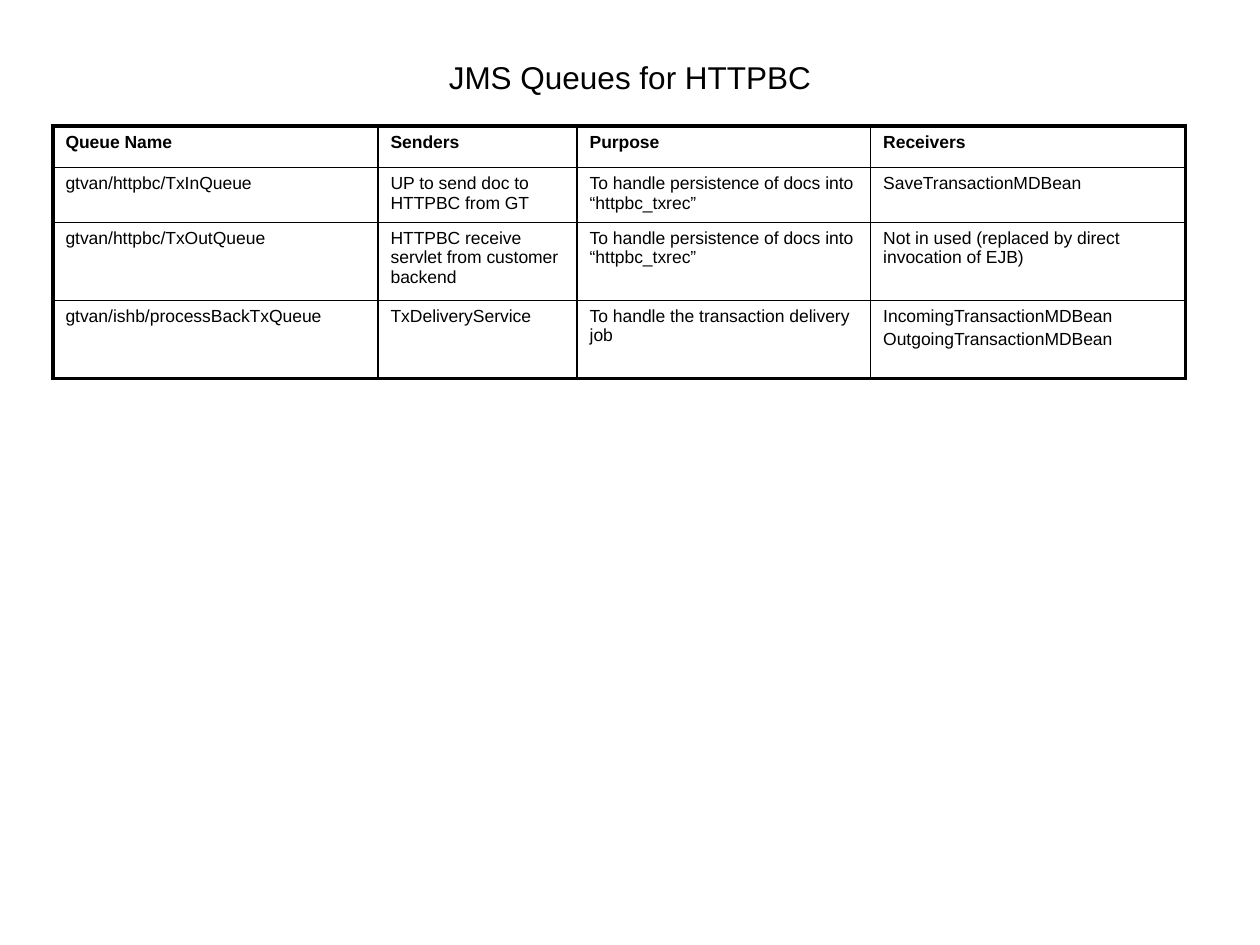
from pptx import Presentation
from pptx.dml.color import RGBColor
from pptx.enum.text import MSO_ANCHOR, PP_ALIGN
from pptx.util import Inches, Pt
from lxml import etree

BLACK = RGBColor(0, 0, 0)
NS = "http://schemas.openxmlformats.org/drawingml/2006/main"
COLS = [2.58, 1.58, 2.33, 2.5]
ROWS = [0.33, 0.37, 0.62, 0.62]
QUEUES = [
    ["Queue Name", "Senders", "Purpose", "Receivers"],
    ["gtvan/httpbc/TxInQueue", "UP to send doc to HTTPBC from GT",
     "To handle persistence of docs into “httpbc_txrec”",
     "SaveTransactionMDBean"],
    ["gtvan/httpbc/TxOutQueue",
     "HTTPBC receive servlet from customer backend",
     "To handle persistence of docs into “httpbc_txrec”",
     "Not in used (replaced by direct invocation of EJB)"],
    ["gtvan/ishb/processBackTxQueue", "TxDeliveryService",
     "To handle the transaction delivery job",
     "IncomingTransactionMDBean\nOutgoingTransactionMDBean"],
]


def style(para, size, bold=False):
    for run in para.runs:
        run.font.name = "Arial"
        run.font.size = Pt(size)
        run.font.bold = bold
        run.font.color.rgb = BLACK


def border(cell, side, width):
    props = cell._tc.get_or_add_tcPr()
    line = etree.SubElement(props, f"{{{NS}}}ln{side}", w=str(Pt(width)))
    fill = etree.SubElement(line, f"{{{NS}}}solidFill")
    etree.SubElement(fill, f"{{{NS}}}srgbClr", val=str(BLACK))


prs = Presentation()
prs.slide_width, prs.slide_height = Inches(10), Inches(7.5)
slide = prs.slides.add_slide(prs.slide_layouts[6])

# Title
title = slide.shapes.add_textbox(Inches(0.5), Inches(0.3), Inches(9), Inches(0.62))
frame = title.text_frame
frame.word_wrap = True
frame.vertical_anchor = MSO_ANCHOR.MIDDLE
frame.text = "JMS Queues for HTTPBC"
frame.paragraphs[0].alignment = PP_ALIGN.CENTER
style(frame.paragraphs[0], 18)

# Queue table
table = slide.shapes.add_table(len(ROWS), len(COLS), Inches(0.42), Inches(1),
                               Inches(sum(COLS)), Inches(sum(ROWS))).table
table.horz_banding = False
for col, width in zip(table.columns, COLS):
    col.width = Inches(width)
for row, height in zip(table.rows, ROWS):
    row.height = Inches(height)

# Cells, with a heavy outer frame
for r, texts in enumerate(QUEUES):
    for c, text in enumerate(texts):
        cell = table.cell(r, c)
        cell.text_frame.text = text
        for para in cell.text_frame.paragraphs:
            para.space_before = Pt(2)
            style(para, 10, bold=r == 0)
        edges = {"L": c == 0, "R": c == len(COLS) - 1,
                 "T": r == 0, "B": r == len(ROWS) - 1}
        for side, outer in edges.items():
            border(cell, side, 2.25 if outer else 1)
        cell.fill.background()

prs.save("out.pptx")
